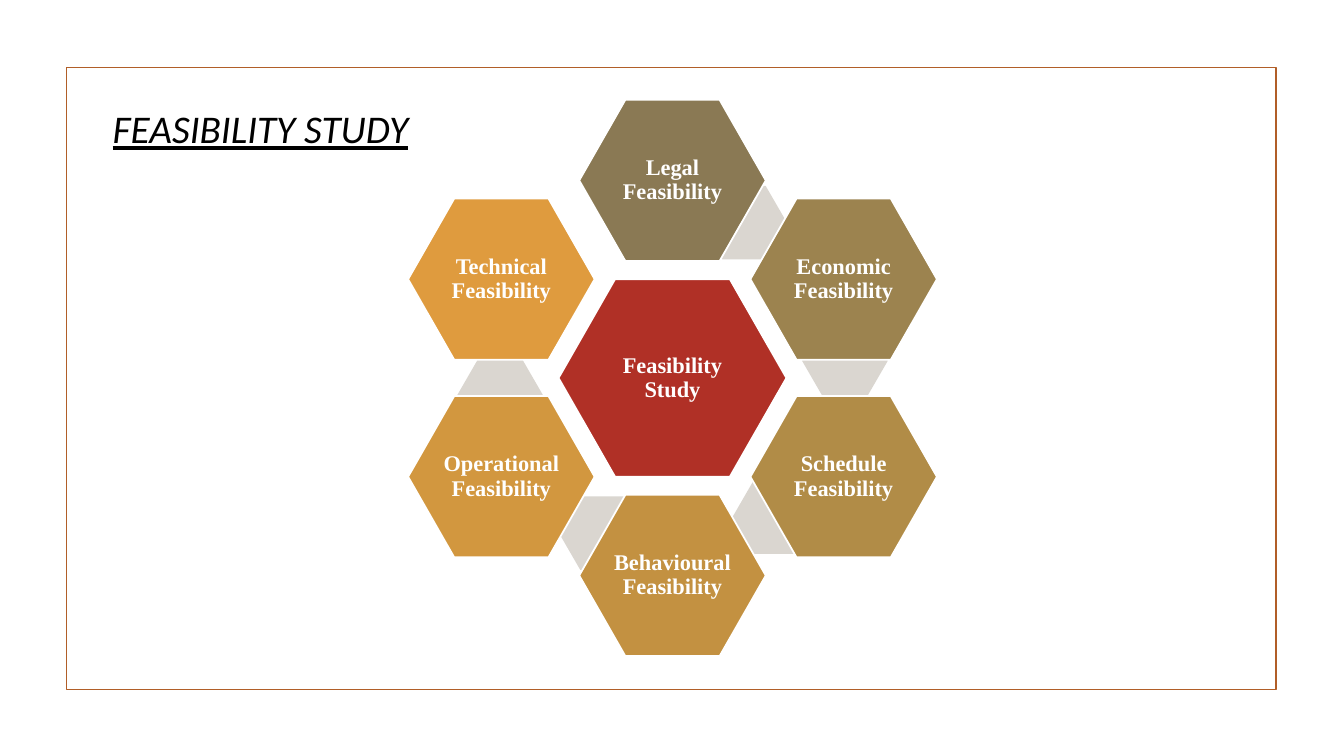
"""Build the feasibility study slide with a ring of six hexagons."""
from math import cos, radians, sin
from typing import NamedTuple, Optional

from pptx import Presentation
from pptx.dml.color import RGBColor
from pptx.enum.shapes import MSO_SHAPE
from pptx.enum.text import MSO_ANCHOR, PP_ALIGN
from pptx.util import Inches, Pt

HEXAGON = MSO_SHAPE.HEXAGON
RECTANGLE = MSO_SHAPE.RECTANGLE
MIDDLE = MSO_ANCHOR.MIDDLE
CENTER = PP_ALIGN.CENTER

RING_X, RING_Y, RING_RADIUS = 6.67, 3.75, 1.96
WHITE, LINK_COLOR = "FFFFFF", "DAD6D0"


class Size(NamedTuple):
    width: float
    height: float


class Point(NamedTuple):
    x: float
    y: float


class Study(NamedTuple):
    label: str
    color: str
    link: Optional[Point]


CORE_SIZE, STUDY_SIZE, LINK_SIZE = Size(2.26, 1.96), Size(1.85, 1.6), Size(0.85, 0.73)
CORE = Study("Feasibility Study", "B03026", None)
STUDIES = [
    Study("Legal Feasibility", "8A7954", Point(7.38, 2.21)),
    Study("Economic Feasibility", "9C834F", Point(8.38, 3.58)),
    Study("Schedule Feasibility", "B18C47", Point(7.69, 5.13)),
    Study("Behavioural Feasibility", "C39141", Point(5.97, 5.29)),
    Study("Operational Feasibility", "D2973F", Point(4.96, 3.92)),
    Study("Technical Feasibility", "DF9B3E", None),
]


def rgb(color: str) -> RGBColor:
    return RGBColor.from_string(color)


def add_hexagon(page, center: Point, size: Size, color: str, slant: float):
    hexagon = page.shapes.add_shape(
        HEXAGON,
        Inches(center.x - size.width / 2),
        Inches(center.y - size.height / 2),
        Inches(size.width),
        Inches(size.height),
    )
    hexagon.shadow.inherit = False
    hexagon.adjustments[0] = slant
    hexagon.fill.solid()
    hexagon.fill.fore_color.rgb = rgb(color)
    hexagon.line.fill.background()
    return hexagon


def add_study(page, study: Study, center: Point, size: Size) -> None:
    if study.link:
        add_hexagon(page, study.link, LINK_SIZE, LINK_COLOR, 0.289)
    hexagon = add_hexagon(page, center, size, study.color, 0.286)
    hexagon.line.color.rgb = rgb(WHITE)
    hexagon.line.width = Pt(1.25)
    frame = hexagon.text_frame
    frame.word_wrap = True
    frame.vertical_anchor = MIDDLE
    frame.margin_left = frame.margin_right = Inches(0.02)
    frame.margin_top = frame.margin_bottom = Inches(0.02)
    para = frame.paragraphs[0]
    para.text = study.label
    para.alignment = CENTER
    para.line_spacing = 0.9
    para.font.name = "Times New Roman"
    para.font.size = Pt(16)
    para.font.bold = True
    para.font.color.rgb = rgb(WHITE)


def add_border(page) -> None:
    border = page.shapes.add_shape(
        RECTANGLE, Inches(0.66), Inches(0.67), Inches(12), Inches(6.17)
    )
    border.shadow.inherit = False
    border.fill.background()
    border.line.color.rgb = rgb("B15E28")
    border.line.width = Pt(1.25)


def add_title(page) -> None:
    box = page.shapes.add_textbox(
        Inches(1.02), Inches(0.99), Inches(3.83), Inches(1.04)
    )
    box.text_frame.word_wrap = True
    para = box.text_frame.paragraphs[0]
    para.text = "FEASIBILITY STUDY"
    para.font.name = "Calibri"
    para.font.size = Pt(28)
    para.font.italic = True
    para.font.underline = True
    para.font.color.rgb = rgb("000000")


def main() -> None:
    deck = Presentation()
    deck.slide_width = Inches(13.33)
    deck.slide_height = Inches(7.5)
    page = deck.slides.add_slide(deck.slide_layouts[6])
    add_border(page)
    add_study(page, CORE, Point(RING_X, RING_Y), CORE_SIZE)
    for index, study in enumerate(STUDIES):
        angle = radians(360 / len(STUDIES) * index - 90)
        center = Point(
            RING_X + RING_RADIUS * cos(angle), RING_Y + RING_RADIUS * sin(angle)
        )
        add_study(page, study, center, STUDY_SIZE)
    add_title(page)
    deck.save("out.pptx")


if __name__ == "__main__":
    main()
